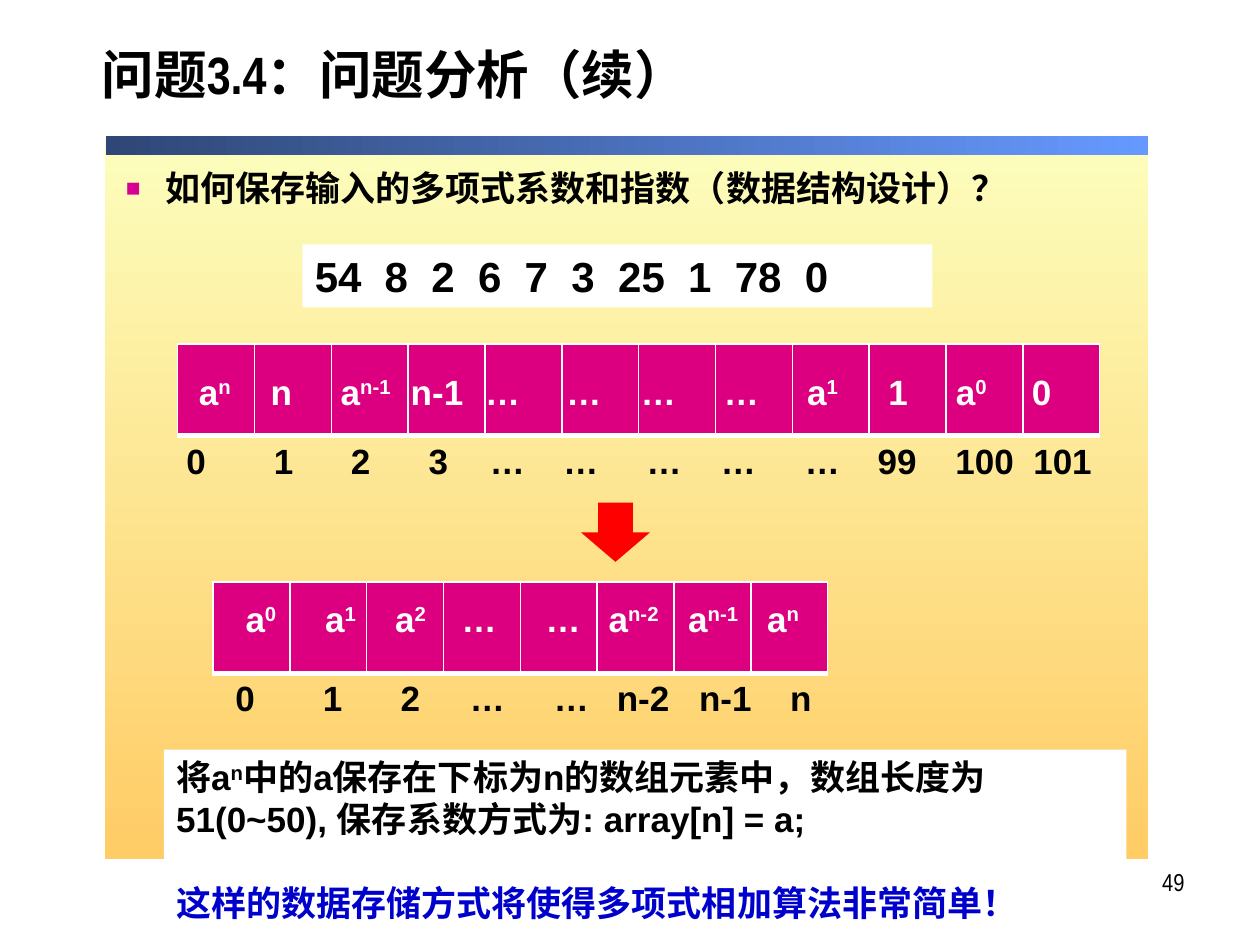
from dataclasses import dataclass

from lxml import etree
from pptx import Presentation
from pptx.dml.color import RGBColor
from pptx.enum.shapes import MSO_SHAPE
from pptx.enum.text import MSO_ANCHOR, PP_ALIGN
from pptx.oxml.ns import qn
from pptx.util import Pt

RECT = MSO_SHAPE.RECTANGLE
DOWN_ARROW = MSO_SHAPE.DOWN_ARROW
TOP, MIDDLE = MSO_ANCHOR.TOP, MSO_ANCHOR.MIDDLE
LEFT, RIGHT = PP_ALIGN.LEFT, PP_ALIGN.RIGHT


@dataclass(frozen=True)
class Theme:
    black: str = "000000"
    white: str = "FFFFFF"
    blue: str = "0000CC"
    red: str = "FF0000"
    cell: str = "DC0081"
    bullet: str = "D60093"
    panel: tuple = ("FCFEBC", "FFCC66")
    bar: tuple = ("2F4776", "6699FF")
    body: str = "Arial"
    narrow: str = "Arial Narrow"
    cjk: str = "Noto Sans CJK SC"
    title_size: int = 30
    input_size: int = 24
    text_size: int = 20
    number_size: int = 14


THEME = Theme()


def rgb(value):
    return RGBColor.from_string(value)


def add_block(page, kind, frame, fill):
    """Add an unlined shape with a solid colour."""
    block = page.shapes.add_shape(kind, *map(Pt, frame))
    block.shadow.inherit = False
    block.line.fill.background()
    block.fill.solid()
    block.fill.fore_color.rgb = rgb(fill)
    return block


def add_gradient(page, frame, colours, angle):
    block = add_block(page, RECT, frame, colours[0])
    block.fill.gradient()
    block.fill.gradient_angle = angle
    for stop, colour in zip(block.fill.gradient_stops, colours):
        stop.color.rgb = rgb(colour)


def add_box(page, frame, anchor=TOP):
    box = page.shapes.add_textbox(*map(Pt, frame))
    box.text_frame.word_wrap = True
    box.text_frame.vertical_anchor = anchor
    return box


def add_child(parent, tag, **attributes):
    return etree.SubElement(parent, qn(tag), attributes)


def write(para, text, size, colour=THEME.black, face=THEME.body, bold=True, align=LEFT):
    """Fill a paragraph; parts between ^ marks are superscript."""
    para.alignment = align
    para.font.size = Pt(size)
    para.font.bold = bold
    para.font.name = face
    para.font.color.rgb = rgb(colour)
    for number, part in enumerate(text.split("^")):
        if part:
            span = para.add_run()
            span.text = part
            if number % 2:
                span.font._element.set("baseline", "30000")


def write_columns(box, labels, stops, size, colour=THEME.black):
    """Write labels on one line; the first is at the margin, the rest at tab stops."""
    para = box.text_frame.paragraphs[0]
    tabs = add_child(para._p.get_or_add_pPr(), "a:tabLst")
    for stop in stops:
        add_child(tabs, "a:tab", pos=str(Pt(stop)), algn="l")
    write(para, "\t".join(labels), size, colour)


def add_bullet(para):
    props = para._p.get_or_add_pPr()
    props.set("marL", str(Pt(22.5)))
    props.set("indent", str(-Pt(22.5)))
    add_child(add_child(props, "a:buClr"), "a:srgbClr", val=THEME.bullet)
    add_child(props, "a:buSzPct", val="70000")
    add_child(props, "a:buFont", typeface=THEME.body)
    add_child(props, "a:buChar", char="■")


def add_array(page, left, top, columns, pitch=43.92, height=52.3):
    """Draw an array as a one-row table with white borders."""
    frame = map(Pt, (left, top, columns * pitch, height))
    table = page.shapes.add_table(1, columns, *frame).table
    for column in table.columns:
        column.width = Pt(pitch)
    for cell in table.iter_cells():
        props = cell._tc.get_or_add_tcPr()
        for side, width in (("L", 1), ("R", 1), ("T", 1), ("B", 3)):
            line = add_child(props, f"a:ln{side}", w=str(Pt(width)))
            add_child(add_child(line, "a:solidFill"), "a:srgbClr", val=THEME.white)
        cell.fill.solid()
        cell.fill.fore_color.rgb = rgb(THEME.cell)


def main():
    deck = Presentation()
    deck.slide_width, deck.slide_height = Pt(720), Pt(540)
    page = deck.slides.add_slide(deck.slide_layouts[6])

    # Background panel and bar
    add_gradient(page, (59.8, 79.2, 596.2, 411.8), THEME.panel, 270)
    add_gradient(page, (60.5, 77.8, 595.4, 10.8), THEME.bar, 0)

    # Page number, title and question
    box = add_box(page, (516.2, 491.8, 167.8, 37.4))
    write(box.text_frame.paragraphs[0], "49", THEME.number_size,
          face=THEME.narrow, bold=False, align=RIGHT)
    box = add_box(page, (51.1, 12.2, 645.1, 66.2), MIDDLE)
    para = box.text_frame.paragraphs[0]
    write(para, "问题3.4：问题分析（续）", THEME.title_size, face=THEME.narrow)
    para.line_spacing = 0.8
    box = add_box(page, (64.8, 94.3, 559.4, 36.7))
    para = box.text_frame.paragraphs[0]
    add_bullet(para)
    write(para, "如何保存输入的多项式系数和指数（数据结构设计）？",
          THEME.text_size, face=THEME.narrow)
    para.line_spacing = 0.9

    # Input numbers
    box = add_block(page, RECT, (172.8, 139.7, 360, 36), THEME.white)
    box.text_frame.vertical_anchor = MIDDLE
    write_columns(box, "54 8 2 6 7 3 25 1 78 0".split(),
                  (40, 66.7, 93.4, 120, 146.7, 173.4, 213.4, 240, 280), THEME.input_size)

    # Two arrays, with the arrow from the first to the second
    add_array(page, 101.5, 196.6, 12)
    add_block(page, DOWN_ARROW, (331.9, 287.3, 39.6, 33.8), THEME.red)
    add_array(page, 121.7, 332.6, 8)

    # Array contents (white) and subscripts (black)
    rows = (
        ((106.6, 208.1, 530, 31.7), THEME.white,
         "a^n^ n a^n-1^ n-1 … … … … a^1^ 1 a^0^ 0",
         (41, 81, 121, 163.5, 210, 252.5, 300, 347.5, 394, 432.5, 476)),
        ((99.4, 247.7, 560, 31.7), THEME.black,
         "0 1 2 3 … … … … … 99 100 101",
         (50, 94, 138.5, 173.5, 215.5, 263, 305.5, 353.5, 395, 439.5, 484)),
        ((133.2, 337.7, 358, 31.7), THEME.white,
         "a^0^ a^1^ a^2^ … … a^n-2^ a^n-1^ a^n^",
         (45.5, 85.5, 123.5, 171.5, 207.5, 253, 298)),
        ((127.4, 383, 356, 31.7), THEME.black,
         "0 1 2 … … n-2 n-1 n",
         (50, 94.5, 134, 182, 218, 265, 317)),
    )
    for frame, colour, labels, stops in rows:
        write_columns(add_box(page, frame), labels.split(), stops, THEME.text_size, colour)

    # Conclusion
    box = add_block(page, RECT, (93.6, 428.4, 550.1, 104.4), THEME.white)
    box.text_frame.vertical_anchor = TOP
    write(box.text_frame.paragraphs[0],
          "将a^n^中的a保存在下标为n的数组元素中，数组长度为51(0~50), "
          "保存系数方式为: array[n] = a;", THEME.text_size)
    para = box.text_frame.add_paragraph()
    write(para, "这样的数据存储方式将使得多项式相加算法非常简单！",
          THEME.text_size, THEME.blue, THEME.cjk)
    para.space_before = Pt(24)

    deck.save("out.pptx")


if __name__ == "__main__":
    main()
